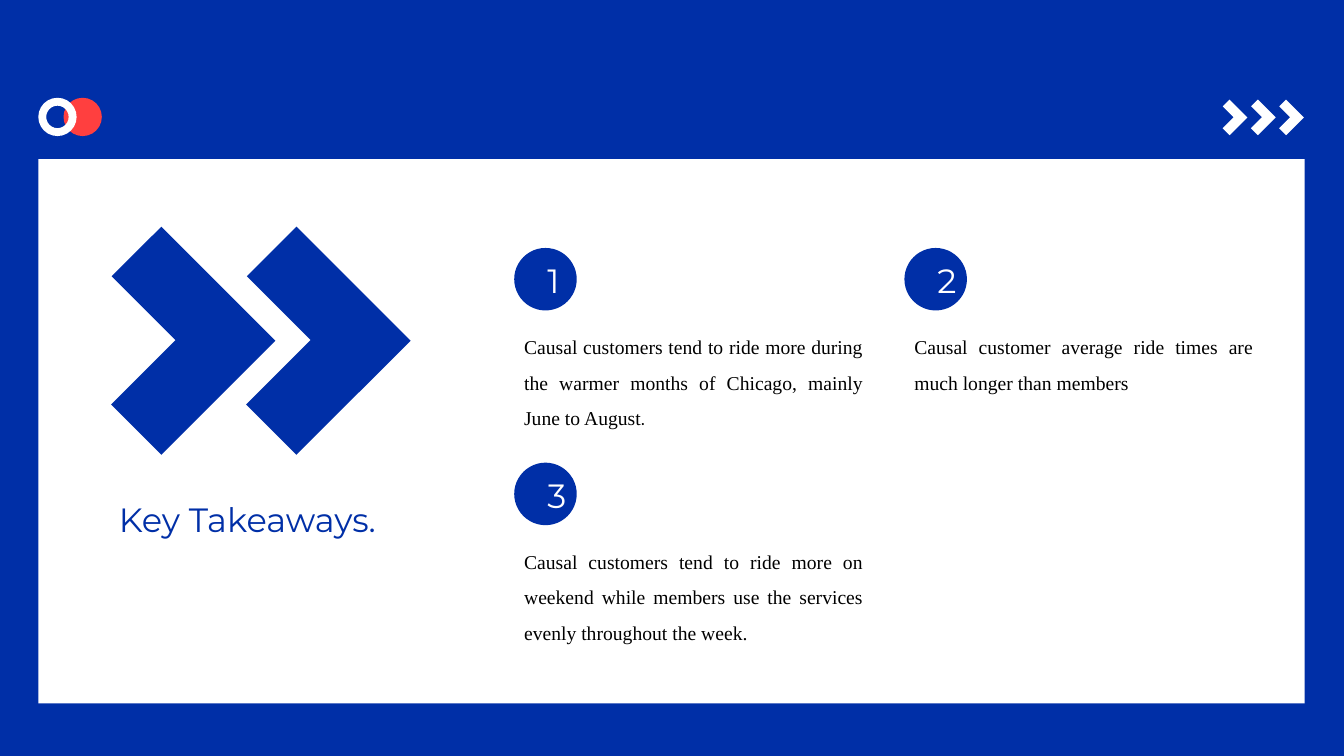
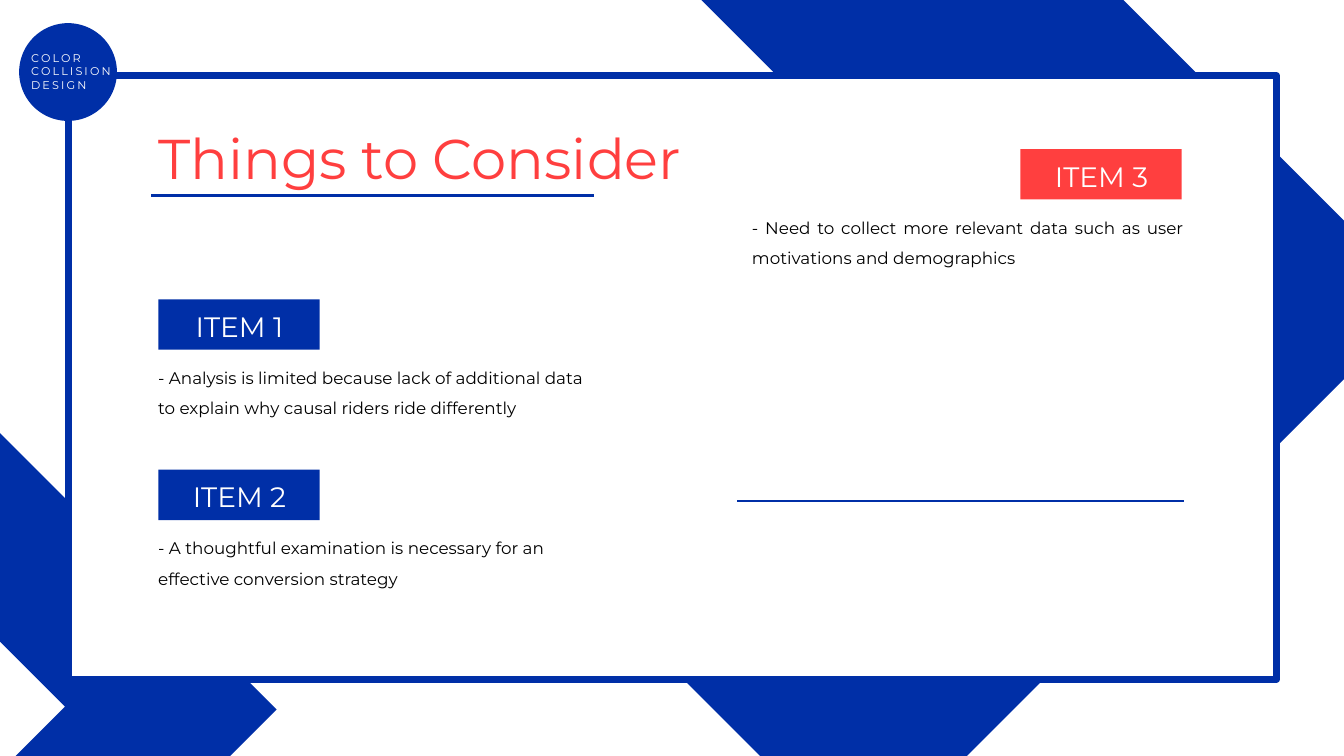
from lxml import etree
from pptx import Presentation
from pptx import util as u
from pptx.dml.color import RGBColor
from pptx.enum import shapes, text
from pptx.oxml.ns import qn

BLUE = RGBColor(0x00, 0x2F, 0xA7)
RED = RGBColor(0xFF, 0x3F, 0x3F)
WHITE = RGBColor(0xFF, 0xFF, 0xFF)
BLACK = RGBColor(0x00, 0x00, 0x00)

SANS = "Montserrat"
SERIF = "Times New Roman"
KIND = shapes.MSO_SHAPE
ALIGN = text.PP_ALIGN
FIT = text.MSO_AUTO_SIZE
SLIM = (0.377, 0.388)
THICK = (0.435, 0.441)


def set_all(target, values):
    for name, value in values.items():
        setattr(target, name, value)


def inches(values):
    return [u.Inches(value) for value in values]


# Shared elements

def add_page(deck, color):
    page = deck.slides.add_slide(deck.slide_layouts[6])
    page.background.fill.solid()
    page.background.fill.fore_color.rgb = color
    return page


def add_figure(page, kind, at, color, adjust=(), border=None):
    figure = page.shapes.add_shape(kind, *inches(at))
    figure.shadow.inherit = False
    figure.fill.solid()
    figure.fill.fore_color.rgb = color
    for index, value in enumerate(adjust):
        figure.adjustments[index] = value
    if border:
        figure.line.color.rgb = border
        figure.line.width = u.Pt(5)
    else:
        figure.line.fill.background()
    return figure


def add_chevron(page, left, top, side, color, adjust=SLIM):
    chevron = add_figure(page, KIND.CORNER, (left, top, side, side), color, adjust)
    chevron.rotation = 225


def add_span(para, words, size, color, face, spacing=0):
    span = para.add_run()
    span.text = words
    set_all(span.font, {"size": u.Pt(size), "name": face})
    span.font.color.rgb = color
    if spacing:
        span.font._element.set("spc", str(int(spacing * 100)))


def add_text(page, at, lines, size, color, face=SANS, spacing=0,
             wrap=True, fit=FIT.SHAPE_TO_FIT_TEXT, **layout):
    box = page.shapes.add_textbox(*inches(at))
    frame = box.text_frame
    set_all(frame, {"word_wrap": wrap, "auto_size": fit})
    for index, words in enumerate(lines):
        para = frame.add_paragraph() if index else frame.paragraphs[0]
        set_all(para, layout)
        add_span(para, words, size, color, face, spacing)
    return box


def add_rule(page, left, right, top):
    rule = page.shapes.add_connector(
        shapes.MSO_CONNECTOR.STRAIGHT, *inches((right, top, left, top)))
    rule.line.color.rgb = BLUE
    rule.line.width = u.Pt(1.5)
    etree.SubElement(rule._element.spPr, qn("a:effectLst"))


# Numbered takeaway: disc, numeral and paragraph

def add_takeaway(page, left, top, number, words, height):
    add_figure(page, KIND.OVAL, (left, top, 0.62, 0.62), BLUE)
    add_text(page, (left + 0.23, top + 0.07, 0.23, 0.5), [number], 24, WHITE,
             spacing=3, alignment=ALIGN.CENTER)
    return add_text(page, (left, top + 0.7, 3.56, height), [words], 14, BLACK, SERIF,
                    alignment=ALIGN.JUSTIFY, line_spacing=1.5)


# Labelled item: coloured tag and paragraph

def add_item(page, tag_left, top, color, label, words_left, words, align):
    add_figure(page, KIND.RECTANGLE, (tag_left, top, 1.6, 0.5), color)
    add_text(page, (tag_left + 0.21, top + 0.05, 1.19, 0.41), [label], 20, WHITE,
             fit=FIT.NONE, alignment=ALIGN.CENTER)
    add_text(page, (words_left, top + 0.53, 4.48, 0.67), [words], 12, BLACK,
             alignment=align, line_spacing=1.5)


def build_takeaways(deck):
    page = add_page(deck, BLUE)
    add_figure(page, KIND.RECTANGLE, (0.38, 1.58, 12.56, 5.4), WHITE)

    # Title with large chevrons
    for left in (0.8, 2.14):
        add_chevron(page, left, 2.58, 1.6, BLUE, THICK)
    add_text(page, (1.08, 4.9, 3.08, 0.5), ["Key Takeaways."], 24, BLUE, wrap=False)

    # Takeaways
    first = add_takeaway(
        page, 5.1, 2.46, "1", "Causal customers tend to ride more during the warmer "
        "months of Chicago, mainly June to August", 1.12)
    add_span(first.text_frame.paragraphs[0], ".", 14, BLACK, SANS)
    add_takeaway(page, 8.97, 2.46, "2",
                 "Causal customer average ride times are much longer than members", 0.77)
    add_takeaway(
        page, 5.1, 4.59, "3", "Causal customers tend to ride more on weekend while "
        "members use the services evenly throughout the week.", 1.12)

    # Header ornaments
    add_figure(page, KIND.OVAL, (0.63, 0.97, 0.38, 0.38), RED)
    add_figure(page, KIND.DONUT, (0.38, 0.97, 0.38, 0.38), WHITE, (0.207,))
    for step in range(3):
        add_chevron(page, 12.07 + 0.28 * step, 1.04, 0.25, WHITE)


def build_considerations(deck):
    page = add_page(deck, WHITE)

    # Background chevrons and frame
    add_chevron(page, 4.64, -0.95, 7.85, BLUE)
    add_chevron(page, -1.94, 5.1, 3.88, BLUE)
    add_figure(page, KIND.RECTANGLE, (0.68, 0.75, 11.98, 5.99), WHITE, border=BLUE)

    # Title and badge
    add_text(page, (1.47, 1.18, 5.83, 0.77), ["Things to Consider"], 40, RED, wrap=False)
    add_figure(page, KIND.OVAL, (0.19, 0.23, 0.97, 0.97), BLUE)
    add_text(page, (0.21, 0.46, 1.1, 0.5), ["COLOR", "COLLISION", "DESIGN"], 8, WHITE,
             spacing=1.5, fit=FIT.NONE)

    # Rules
    add_rule(page, 1.5, 5.89, 1.94)
    add_rule(page, 7.31, 11.74, 4.97)

    # Items
    add_item(page, 1.57, 2.97, BLUE, "ITEM 1", 1.47,
             "- Analysis is limited because lack of additional data to explain why "
             "causal riders ride differently", ALIGN.LEFT)
    add_item(page, 1.57, 4.66, BLUE, "ITEM 2", 1.47,
             "- A thoughtful examination is necessary for an effective conversion "
             "strategy", ALIGN.LEFT)
    add_item(page, 10.12, 1.48, RED, "ITEM 3", 7.36,
             "- Need to collect more relevant data such as user motivations and "
             "demographics", ALIGN.JUSTIFY)


def main():
    deck = Presentation()
    set_all(deck, {"slide_width": u.Inches(13.33), "slide_height": u.Inches(7.5)})
    build_takeaways(deck)
    build_considerations(deck)
    deck.save("out.pptx")


main()
